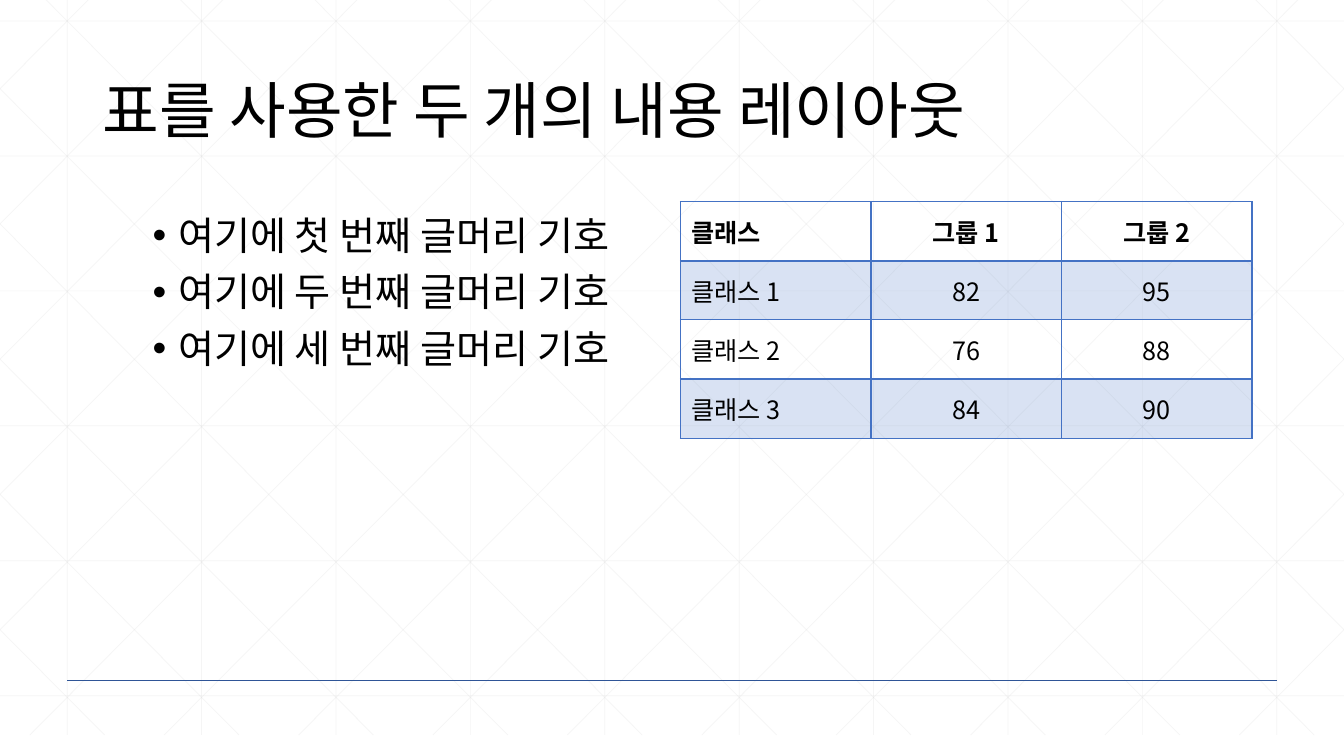
from lxml.etree import SubElement as Sub
from pptx import Presentation
from pptx.dml.color import RGBColor
from pptx.enum.shapes import MSO_CONNECTOR as Conn
from pptx.enum.text import MSO_ANCHOR as Anchor, PP_ALIGN as Align
from pptx.oxml.ns import qn
from pptx.util import Cm, Pt

WIDE, HIGH = 33.87, 19.05
STEP = WIDE / 10
TOP, BASE = -0.53, 18.52
LEAN = 18.93 / (BASE - TOP)


def tint(color, code):
    color.rgb = RGBColor.from_string(code)


def fade(node, share):
    for color in node.iter(qn("a:srgbClr")):
        Sub(color, qn("a:alpha"), val=str(share * 1000))


class Deck:
    font = "Noto Sans CJK KR"
    ink = "000000"
    blue = "4472C4"
    navy = "2F5597"
    gray = "D9D9D9"

    def __init__(self):
        self.file = Presentation()
        self.file.slide_width = Cm(WIDE)
        self.file.slide_height = Cm(HIGH)
        self.slide = self.file.slides.add_slide(self.file.slide_layouts[5])
        self.shapes = self.slide.shapes

    def style(self, para, size, bold=False):
        for run in para.runs:
            run.font.name = self.font
            run.font.size = Pt(size)
            run.font.bold = bold
            tint(run.font.color, self.ink)
            face = run.font.element if hasattr(run.font, "element") else run._r.get_or_add_rPr()
            Sub(face, qn("a:ea"), typeface=self.font)

    def line(self, start, end, code, width, share=100):
        ends = [Cm(value) for value in (*start, *end)]
        line = self.shapes.add_connector(Conn.STRAIGHT, *ends)
        line.line.width = Pt(width)
        tint(line.line.color, code)
        Sub(line.element.spPr, qn("a:effectLst"))
        if share < 100:
            fade(line.element.spPr, share)

    def mesh(self, start, end):
        self.line(start, end, self.gray, 0.5, 25)

    def grid(self):
        for col in range(10):
            x = STEP * (col + 0.5)
            self.mesh((x, TOP), (x, BASE))
        for row in range(6):
            y = 0.53 + 3.4 * row
            self.mesh((0, y), (WIDE, y))
        for col in range(-5, 10):
            x = 0.64 + STEP * col
            left = max(x, 0)
            right = min(x + LEAN * (BASE - TOP), WIDE)
            high, low = (TOP + (side - x) / LEAN for side in (left, right))
            self.mesh((left, high), (right, low))
            self.mesh((WIDE - left, high), (WIDE - right, low))

    def title(self, text, left, top, width, height):
        title = self.shapes.title
        title.left, title.top = Cm(left), Cm(top)
        title.width, title.height = Cm(width), Cm(height)
        frame = title.text_frame
        frame.text = text
        frame.word_wrap = True
        frame.vertical_anchor = Anchor.MIDDLE
        para = frame.paragraphs[0]
        para.alignment = Align.LEFT
        para.line_spacing = 0.9
        self.style(para, 44)
        self.shapes.element.append(title.element)

    def points(self, items, left, top, width, height):
        box = self.shapes.add_textbox(Cm(left), Cm(top), Cm(width), Cm(height))
        frame = box.text_frame
        frame.word_wrap = True
        frame.text = "\n".join(items)
        for para in frame.paragraphs:
            para.line_spacing = 0.9
            para.space_before = Pt(10)
            self.style(para, 28)
            props = para._p.get_or_add_pPr()
            props.set("marL", str(Cm(0.64)))
            props.set("indent", str(-Cm(0.64)))
            Sub(props, qn("a:buFont"), typeface="Arial")
            Sub(props, qn("a:buChar"), char="•")

    def edge(self, cell, side, width):
        line = Sub(cell._tc.get_or_add_tcPr(), qn(f"a:ln{side}"), w=str(Pt(width)))
        fill = Sub(line, qn("a:solidFill"))
        Sub(fill, qn("a:srgbClr"), val=self.blue)

    def table(self, rows, left, top, width, tall):
        frame = self.shapes.add_table(len(rows), len(rows[0]), Cm(left), Cm(top),
                                      Cm(width), Cm(tall * len(rows)))
        table = frame.table
        table.horz_banding = False
        for r, row in enumerate(rows):
            table.rows[r].height = Cm(tall)
            for c, text in enumerate(row):
                cell = table.cell(r, c)
                cell.text = text
                cell.vertical_anchor = Anchor.MIDDLE
                cell.margin_left = cell.margin_right = Cm(0.27)
                cell.margin_top = cell.margin_bottom = Cm(0.13)
                para = cell.text_frame.paragraphs[0]
                para.alignment = Align.CENTER if c else Align.LEFT
                self.style(para, 18, r == 0)
                for side in "LRTB":
                    thick = (r, side) in ((0, "B"), (1, "T"))
                    self.edge(cell, side, 2 if thick else 1)
                if r % 2:
                    cell.fill.solid()
                    tint(cell.fill.fore_color, self.blue)
                    fade(cell._tc.tcPr.find(qn("a:solidFill")), 20)
                else:
                    cell.fill.background()


def main():
    deck = Deck()
    deck.grid()
    deck.line((1.69, 17.15), (32.18, 17.15), deck.navy, 1)
    deck.title("표를 사용한 두 개의 내용 레이아웃", 2.33, 1.01, 29.21, 3.68)
    ranks = ("첫", "두", "세")
    deck.points([f"여기에 {rank} 번째 글머리 기호" for rank in ranks], 3.6, 5.33, 12.7, 10.6)
    deck.table([
        ("클래스", "그룹 1", "그룹 2"),
        ("클래스 1", "82", "95"),
        ("클래스 2", "76", "88"),
        ("클래스 3", "84", "90"),
    ], 17.15, 5.08, 14.4, 1.49)
    deck.file.save("out.pptx")


if __name__ == "__main__":
    main()
